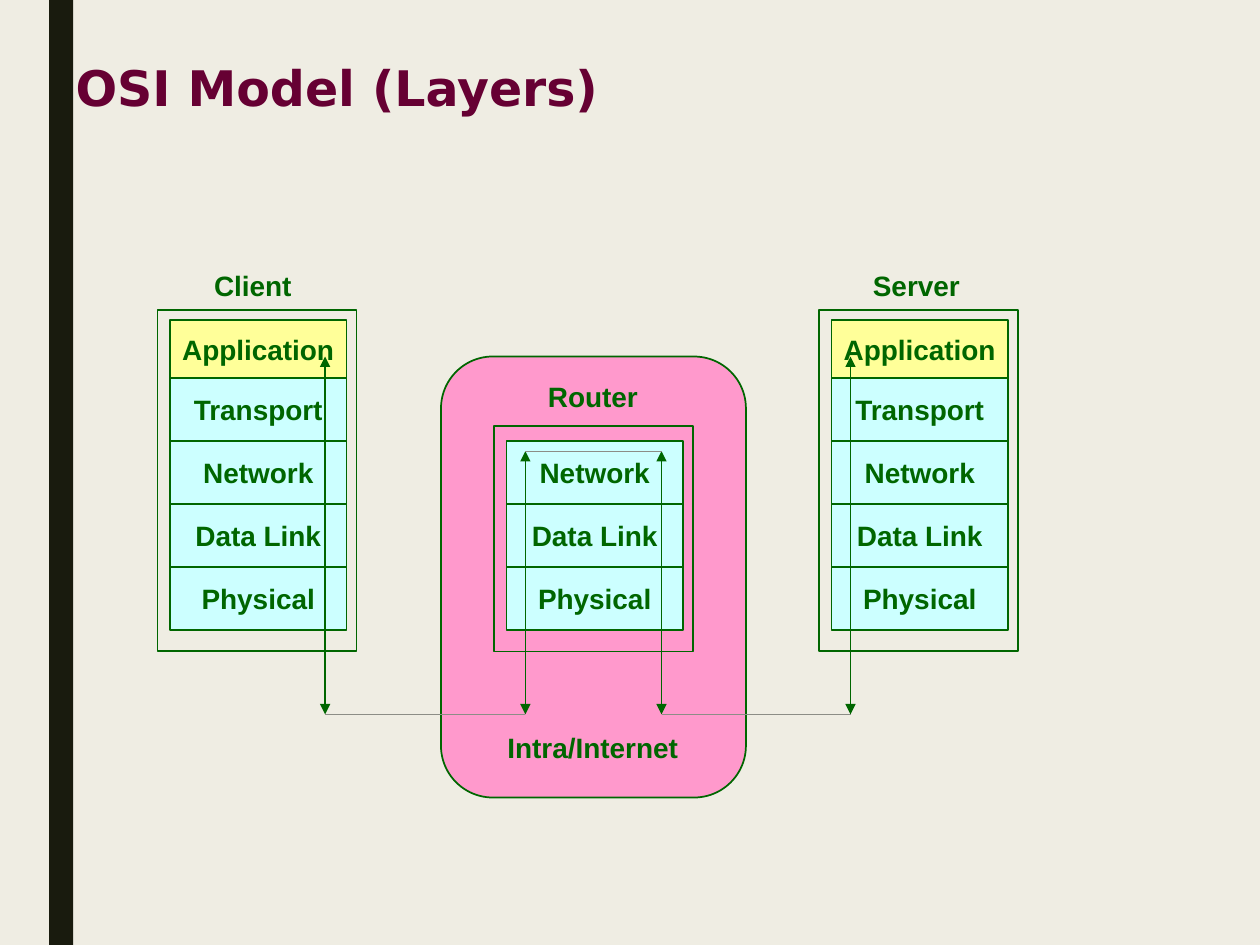
from pptx import Presentation
from pptx.dml.color import RGBColor
from pptx.enum.shapes import MSO_CONNECTOR as CONN, MSO_SHAPE as SHAPE
from pptx.enum.text import MSO_ANCHOR as ANCHOR, MSO_AUTO_SIZE as AUTO, PP_ALIGN as ALIGN
from pptx.oxml.ns import qn
from pptx.util import Inches, Pt
from lxml.etree import SubElement

GREEN, GREY = "006600", "8C8D86"
CYAN, YELLOW, PINK = "CCFFFF", "FFFF99", "FF99CC"
LABEL = {"name": "Arial", "size": Pt(16), "bold": True}
TITLE = {"name": "DejaVu Sans", "size": Pt(28), "bold": True}
LAYERS = ["Application", "Transport", "Network", "Data Link", "Physical"]
WIRE_Y = 5.67


def rgb(value):
    """Turn a hex string into a colour."""
    return RGBColor.from_string(value)


def inches(*values):
    """Turn several numbers into lengths."""
    return [Inches(v) for v in values]


def write(tf, text, fmt, color=GREEN, align=ALIGN.LEFT, wrap=False):
    """Put one formatted run in a text frame."""
    tf.word_wrap = wrap
    tf.vertical_anchor = ANCHOR.MIDDLE
    p = tf.paragraphs[0]
    p.alignment = align
    r = p.add_run()
    r.text = text
    for key, value in fmt.items():
        setattr(r.font, key, value)
    r.font.color.rgb = rgb(color)


def add_title(s, text):
    """Move and format the title placeholder."""
    sp = s.shapes.title
    sp.left, sp.top, sp.width, sp.height = inches(0.5, 0.3, 9, 0.78)
    write(sp.text_frame, text, TITLE, "660033", wrap=True)
    sp.text_frame.auto_size = AUTO.NONE


def add_box(s, at, fill=None, line=GREEN, text=None, kind=SHAPE.RECTANGLE):
    """Add a box with optional fill, outline and text."""
    sp = s.shapes.add_shape(kind, *inches(*at))
    sp.shadow.inherit = False
    if fill:
        sp.fill.solid()
        sp.fill.fore_color.rgb = rgb(fill)
    else:
        sp.fill.background()
    if line:
        sp.line.color.rgb = rgb(line)
        sp.line.width = Pt(1)
    else:
        sp.line.fill.background()
    if text:
        write(sp.text_frame, text, LABEL, align=ALIGN.CENTER)
    return sp


def add_label(s, text, left, top, width, **kwargs):
    """Add a free-standing label."""
    tf = s.shapes.add_textbox(*inches(left, top, width, 0.37)).text_frame
    write(tf, text, LABEL, **kwargs)
    tf.auto_size = AUTO.SHAPE_TO_FIT_TEXT


def add_line(s, start, end, color=GREY, width=0.5, arrows=False):
    """Add a straight line, with arrowheads at both ends if asked."""
    c = s.shapes.add_connector(CONN.STRAIGHT, *inches(*start, *end))
    c.line.color.rgb = rgb(color)
    c.line.width = Pt(width)
    if arrows:
        ln = c.line._get_or_add_ln()
        for tag in ("a:headEnd", "a:tailEnd"):
            SubElement(ln, qn(tag), type="triangle")
    SubElement(c._element.spPr, qn("a:effectLst"))


def add_stack(s, left, top, layers):
    """Add a frame around a stack of layers that ends at the same base."""
    add_box(s, (left, top, 1.58, 5.17 - top))
    for i, name in enumerate(reversed(layers)):
        y = 4.5 - 0.5 * i
        if name == "Application":
            add_box(s, (left + 0.1, y + 0.04, 1.4, 0.46), YELLOW, text=name)
        else:
            add_box(s, (left + 0.1, y, 1.4, 0.5), CYAN, text=name)


def main():
    """Build the slide."""
    prs = Presentation()
    prs.slide_width, prs.slide_height = inches(10, 7.5)
    s = prs.slides.add_slide(prs.slide_layouts[5])
    s.background.fill.solid()
    s.background.fill.fore_color.rgb = rgb("EFEDE3")

    add_box(s, (0.39, 0, 0.19, 7.5), "191B0E", None)
    # The title is raised above the side bar.
    s.shapes._spTree.append(s.shapes.title._element)
    add_title(s, "OSI Model (Layers)")

    router = add_box(s, (3.5, 2.83, 2.42, 3.5), PINK, kind=SHAPE.ROUNDED_RECTANGLE)
    router.adjustments[0] = 0.17
    for left, top, layers in [(1.25, 2.46, LAYERS), (6.5, 2.46, LAYERS), (3.92, 3.38, LAYERS[2:])]:
        add_stack(s, left, top, layers)

    add_label(s, "Client", 1.6, 2.08, 0.82)
    add_label(s, "Server", 6.83, 2.08, 0.9)
    add_label(s, "Router", 4.25, 2.96, 0.92)
    add_label(s, "Intra/Internet", 3.83, 5.75, 1.75, align=ALIGN.CENTER, wrap=True)

    for x, y in [(2.58, 2.83), (6.75, 2.83), (5.25, 3.58), (4.17, 3.58)]:
        add_line(s, (x, y), (x, WIRE_Y), GREEN, 1, arrows=True)
    for x1, x2, y in [(5.25, 4.17, 3.58), (2.58, 4.17, WIRE_Y), (5.25, 6.75, WIRE_Y)]:
        add_line(s, (x1, y), (x2, y))

    prs.save("out.pptx")


if __name__ == "__main__":
    main()
